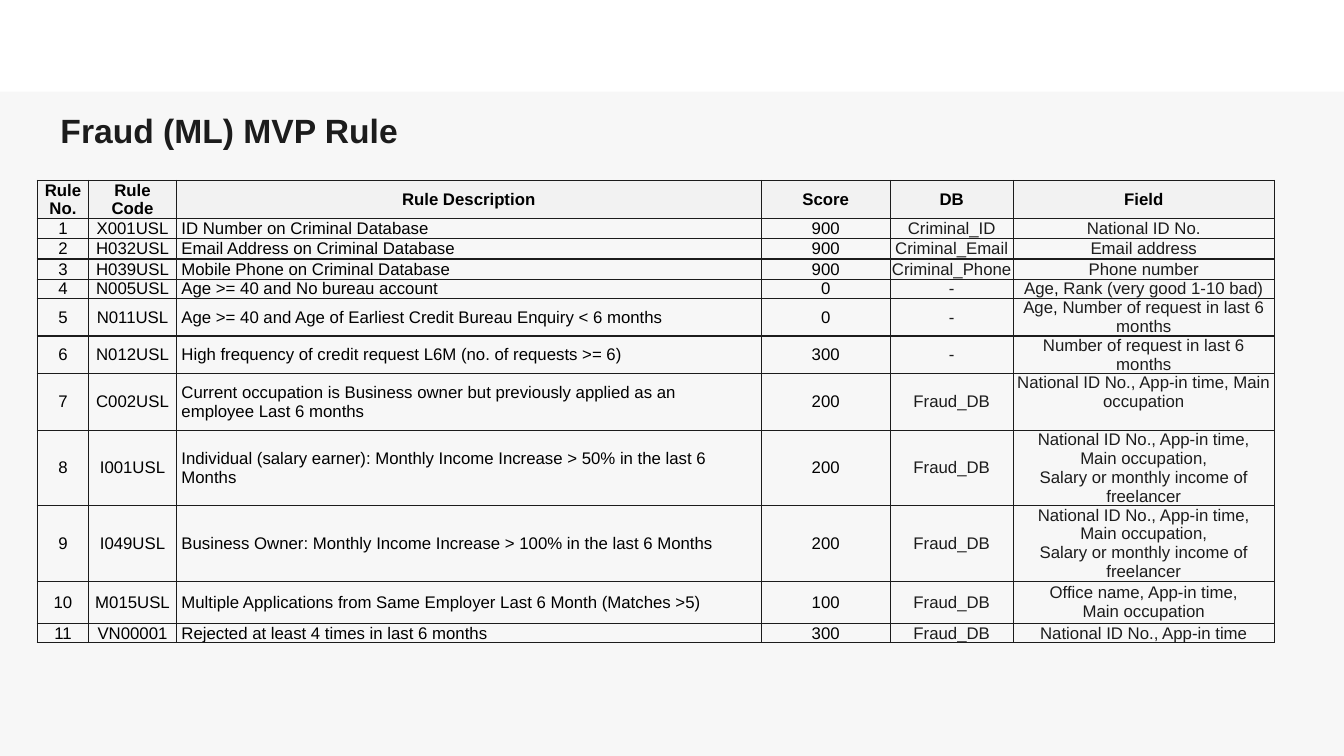
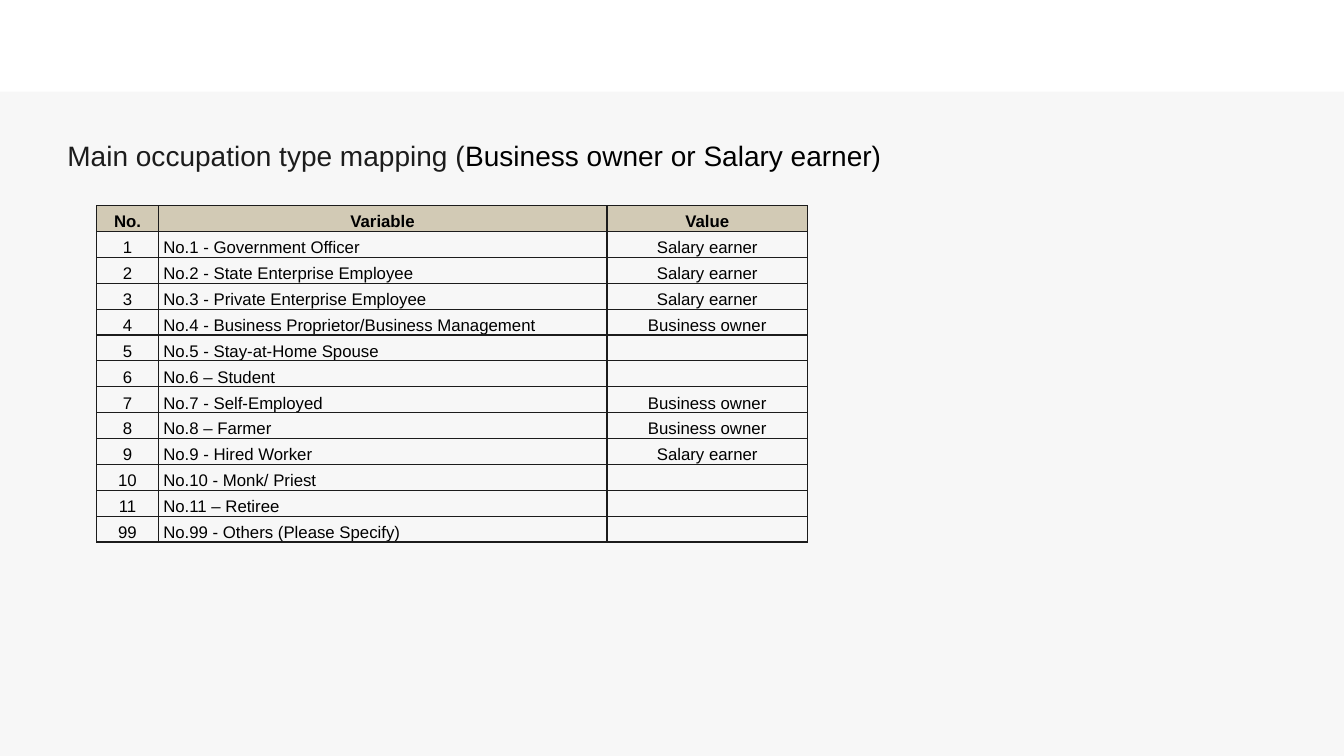
import pptx
import pptx.util
import pptx.dml.color
import pptx.enum.shapes
import pptx.enum.text
import lxml.etree
from dataclasses import dataclass

FRAUD_TITLE = "Fraud (ML) MVP Rule"
MAPPING_TITLE = [("Main occupation type mapping (", "ink"),
                 ("Business owner or Salary earner)", "black")]

INCOME_FIELDS = ("National ID No., App-in time,\nMain occupation,\n"
                 "Salary or monthly income of freelancer")
AGE = [("Age", "ink"), (",", "black")]
RULE_HEADER = ("Rule No.", "Rule\nCode", "Rule Description", "Score", "DB", "Field")
RULES = [
    ("1", "X001USL", "ID Number on Criminal Database", "900", "Criminal_ID", "National ID No."),
    ("2", "H032USL", "Email Address on Criminal Database", "900", "Criminal_Email", "Email address"),
    ("3", "H039USL", "Mobile Phone on Criminal Database", "900", "Criminal_Phone", "Phone number"),
    ("4", "N005USL", "Age >= 40 and No bureau account", "0", "-",
     AGE + [(" Rank (very good 1-10 bad)", "ink")]),
    ("5", "N011USL", "Age >= 40 and Age of Earliest Credit Bureau Enquiry < 6 months", "0", "-",
     AGE + [(" Number of request in last 6 months", "ink")]),
    ("6", "N012USL", "High frequency of credit request L6M (no. of requests >= 6)", "300", "-",
     "Number of request in last 6 months"),
    ("7", "C002USL",
     "Current occupation is Business owner but previously applied as an\nemployee Last 6 months",
     "200", "Fraud_DB", "National ID No., App-in time, Main occupation"),
    ("8", "I001USL",
     "Individual (salary earner): Monthly Income Increase > 50% in the last 6\nMonths",
     "200", "Fraud_DB", INCOME_FIELDS),
    ("9", "I049USL", "Business Owner: Monthly Income Increase > 100% in the last 6 Months",
     "200", "Fraud_DB", INCOME_FIELDS),
    ("10", "M015USL", "Multiple Applications from Same Employer Last 6 Month (Matches >5)",
     "100", "Fraud_DB", "Office name, App-in time,\nMain occupation"),
    ("11", "VN00001", "Rejected at least 4 times in last 6 months", "300", "Fraud_DB",
     "National ID No., App-in time"),
]
RULE_COLUMNS = [0.51, 0.87, 5.8, 1.28, 1.22, 2.59]
RULE_ROWS = [0.38, 0.2, 0.2, 0.2, 0.19, 0.37, 0.37, 0.56, 0.75, 0.75, 0.42, 0.19]

SALARY, OWNER = "Salary earner", "Business owner"
OCCUPATION_HEADER = ("No.", "Variable", "Value")
OCCUPATIONS = [
    ("1", "No.1 - Government Officer", SALARY),
    ("2", "No.2 - State Enterprise Employee", SALARY),
    ("3", "No.3 - Private Enterprise Employee", SALARY),
    ("4", "No.4 - Business Proprietor/Business Management", OWNER),
    ("5", "No.5 - Stay-at-Home Spouse", ""),
    ("6", "No.6 – Student", ""),
    ("7", "No.7 - Self-Employed", OWNER),
    ("8", "No.8 – Farmer", OWNER),
    ("9", "No.9 - Hired Worker", SALARY),
    ("10", "No.10 - Monk/ Priest", ""),
    ("11", "No.11 – Retiree", ""),
    ("99", "No.99 - Others (Please Specify)", ""),
]
OCCUPATION_COLUMNS = [0.61, 4.45, 1.99]
OCCUPATION_ROWS = [3.34 / 13] * 13


@dataclass(frozen=True)
class Theme:
    """Colours, type and sizes shared by the slides."""
    ink: str = "1C1C1C"
    black: str = "000000"
    page: str = "F7F7F7"
    band: str = "FFFFFF"
    rule_head: str = "F2F2F2"
    occupation_head: str = "D2CAB5"
    font: str = "Arial"
    title: int = 24
    subtitle: int = 20
    body: int = 12
    band_height: float = 0.91
    border: int = 1
    cell_indent: float = 0.05


THEME = Theme()
WIDTH, HEIGHT = 13.33, 7.5
MIDDLE = pptx.enum.text.MSO_ANCHOR.MIDDLE
BOTTOM = pptx.enum.text.MSO_ANCHOR.BOTTOM
TOP = pptx.enum.text.MSO_ANCHOR.TOP
LEFT = pptx.enum.text.PP_ALIGN.LEFT
CENTER = pptx.enum.text.PP_ALIGN.CENTER
A = "http://schemas.openxmlformats.org/drawingml/2006/main"


def inches(*lengths):
    """Convert lengths in inches to EMU."""
    return [pptx.util.Inches(length) for length in lengths]


def rgb(code):
    """Make a colour from its hex code."""
    return pptx.dml.color.RGBColor.from_string(code)


def write(frame, content, size=THEME.body, color="black", bold=False, align=LEFT):
    """Write a string, or (text, colour) runs, into a frame's first paragraph."""
    paragraph = frame.paragraphs[0]
    paragraph.alignment = align
    runs = [(content, color)] if isinstance(content, str) else content
    for words, tint in runs:
        for number, line in enumerate(words.split("\n")):
            if number:
                paragraph.add_line_break()
            if not line:
                continue
            run = paragraph.add_run()
            run.text = line
            run.font.name = THEME.font
            run.font.size = pptx.util.Pt(size)
            run.font.bold = bold
            run.font.color.rgb = rgb(getattr(THEME, tint))
    end = lxml.etree.SubElement(paragraph._p, f"{{{A}}}endParaRPr")
    end.set("sz", str(size * 100))


def add_page(deck):
    """Add a blank slide with the white band on top."""
    page = deck.slides.add_slide(deck.slide_layouts[6])
    page.background.fill.solid()
    page.background.fill.fore_color.rgb = rgb(THEME.page)
    band = page.shapes.add_shape(pptx.enum.shapes.MSO_SHAPE.RECTANGLE,
                                 *inches(0, 0, WIDTH, THEME.band_height))
    band.shadow.inherit = False
    band.fill.solid()
    band.fill.fore_color.rgb = rgb(THEME.band)
    band.line.fill.background()
    return page


def add_title(page, content, place, indent=0.1, **style):
    """Add a title box whose text starts after the indent."""
    frame = page.shapes.add_textbox(*inches(*place)).text_frame
    frame.word_wrap = True
    frame.auto_size = pptx.enum.text.MSO_AUTO_SIZE.SHAPE_TO_FIT_TEXT
    frame.margin_left = pptx.util.Inches(indent)
    write(frame, content, **style)


def add_borders(cell):
    """Draw the four edges of a cell."""
    properties = cell._tc.get_or_add_tcPr()
    for place, side in enumerate("LRTB"):
        edge = lxml.etree.Element(f"{{{A}}}ln{side}", w=str(pptx.util.Pt(THEME.border)))
        paint = lxml.etree.SubElement(edge, f"{{{A}}}solidFill")
        lxml.etree.SubElement(paint, f"{{{A}}}srgbClr", val=THEME.ink)
        properties.insert(place, edge)


def add_grid(page, corner, columns, heights, records, head, anchor, left_column, ink_columns=()):
    """Add a bordered table whose first record is the header."""
    grid = page.shapes.add_table(len(heights), len(columns),
                                 *inches(*corner, sum(columns), sum(heights))).table
    grid.first_row = grid.horz_banding = False
    for column, width in zip(grid.columns, columns):
        column.width = pptx.util.Inches(width)
    for r, (height, record) in enumerate(zip(heights, records)):
        grid.rows[r].height = pptx.util.Inches(height)
        for c, content in enumerate(record):
            cell = grid.cell(r, c)
            header = r == 0
            start = not header and c == left_column
            cell.margin_left = pptx.util.Inches(THEME.cell_indent if start else 0)
            cell.margin_right = cell.margin_top = cell.margin_bottom = 0
            cell.vertical_anchor = anchor
            if header:
                cell.fill.solid()
                cell.fill.fore_color.rgb = rgb(head)
            else:
                cell.fill.background()
            add_borders(cell)
            write(cell.text_frame, content, bold=header, align=LEFT if start else CENTER,
                  color="ink" if c in ink_columns and not header else "black")
    return grid


deck = pptx.Presentation()
deck.slide_width, deck.slide_height = inches(WIDTH, HEIGHT)

fraud_page = add_page(deck)
fraud_rules = add_grid(fraud_page, (0.37, 1.79), RULE_COLUMNS, RULE_ROWS, [RULE_HEADER] + RULES,
                       THEME.rule_head, MIDDLE, left_column=2, ink_columns=(4, 5))
fraud_rules.cell(7, 5).vertical_anchor = TOP
add_title(fraud_page, FRAUD_TITLE, (0, 1.04, 7.22, 0.5), indent=0.6,
          size=THEME.title, color="ink", bold=True)

mapping_page = add_page(deck)
add_grid(mapping_page, (0.96, 2.04), OCCUPATION_COLUMNS, OCCUPATION_ROWS,
         [OCCUPATION_HEADER] + OCCUPATIONS, THEME.occupation_head, BOTTOM, left_column=1)
add_title(mapping_page, MAPPING_TITLE, (0.57, 1.33, 9.93, 0.44), size=THEME.subtitle)

deck.save("out.pptx")
